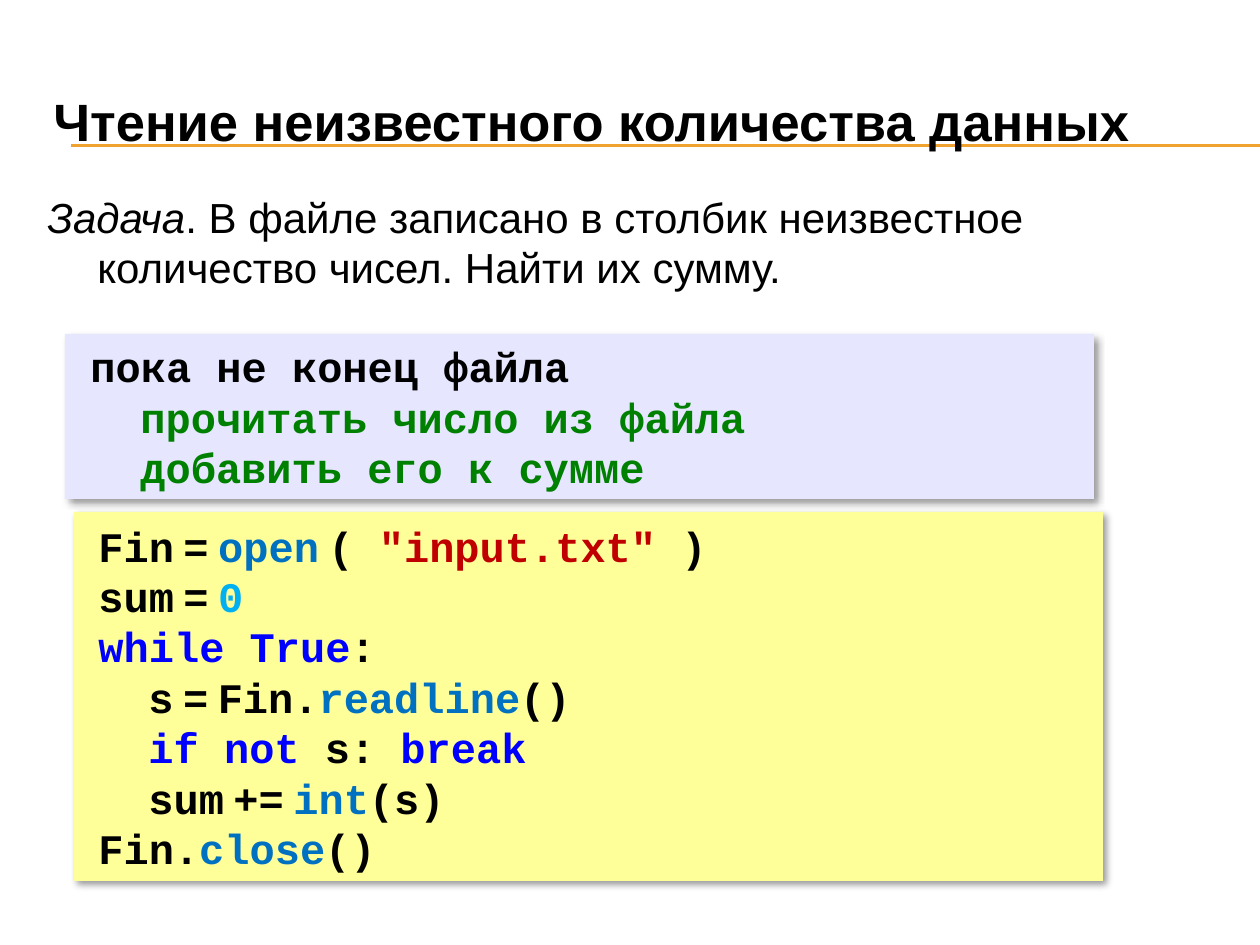
from dataclasses import dataclass

from lxml.etree import SubElement
from pptx import Presentation
from pptx.dml.color import RGBColor
from pptx.enum.shapes import MSO_CONNECTOR as Connector, MSO_SHAPE as Shape
from pptx.enum.text import MSO_ANCHOR as Anchor, PP_ALIGN as Align
from pptx.oxml.ns import qn
from pptx.util import Pt

PX = 914400 // 126


@dataclass(frozen=True)
class Theme:
    ink: str = "000000"
    rule: str = "F0A22E"
    plan: str = "E6E6FF"
    code: str = "FFFF99"
    step: str = "008000"
    call: str = "0070C0"
    string: str = "C00000"
    number: str = "00B0F0"
    keyword: str = "0000FF"
    prose_font: str = "Arial"
    code_font: str = "Courier New"
    title_size: int = 30
    text_size: int = 24
    gap_size: int = 9


def write(paragraph, text, *, font, size, color, bold=False, italic=False):
    run = paragraph.add_run()
    run.text = text
    run.font.name = font
    run.font.size = Pt(size)
    run.font.bold = bold
    run.font.italic = italic
    run.font.color.rgb = RGBColor.from_string(color)


class SlideBuilder:
    def __init__(self, slide, theme):
        self.slide = slide
        self.theme = theme

    def rule(self, left, right, y):
        line = self.slide.shapes.add_connector(
            Connector.STRAIGHT, left * PX, y * PX, right * PX, y * PX)
        line.line.color.rgb = RGBColor.from_string(self.theme.rule)
        line.line.width = Pt(0.75)
        SubElement(line._element.spPr, qn("a:effectLst"))

    def paragraph(self, frame, first, margin=0, indent=0, align=Align.LEFT):
        paragraph = frame.paragraphs[0] if first else frame.add_paragraph()
        paragraph.alignment = align
        properties = paragraph._p.get_or_add_pPr()
        properties.set("marL", str(margin * PX))
        properties.set("indent", str(indent * PX))
        return paragraph

    def prose(self, box, parts, size, anchor=Anchor.TOP, hanging=0, bold=False):
        frame = self.slide.shapes.add_textbox(*(n * PX for n in box)).text_frame
        frame.word_wrap = True
        frame.vertical_anchor = anchor
        paragraph = self.paragraph(frame, True, hanging, -hanging)
        for text, italic in parts:
            write(paragraph, text, font=self.theme.prose_font, size=size,
                  color=self.theme.ink, bold=bold, italic=italic)

    def listing(self, box, fill, lines, margin, indent, align=Align.LEFT):
        panel = self.slide.shapes.add_shape(Shape.RECTANGLE, *(n * PX for n in box))
        panel.fill.solid()
        panel.fill.fore_color.rgb = RGBColor.from_string(fill)
        panel.line.fill.background()
        self.shadow(panel)
        frame = panel.text_frame
        frame.word_wrap = True
        frame.vertical_anchor = Anchor.MIDDLE
        for number, (level, parts) in enumerate(lines):
            paragraph = self.paragraph(
                frame, number == 0, margin + level * 50, indent, align)
            for text, role in parts:
                gap = role == "gap"
                write(paragraph, text, font=self.theme.code_font, bold=True,
                      size=self.theme.gap_size if gap else self.theme.text_size,
                      color=self.theme.ink if gap else getattr(self.theme, role))

    def shadow(self, panel):
        panel.shadow.inherit = False
        effects = panel._element.spPr.find(qn("a:effectLst"))
        outer = SubElement(effects, qn("a:outerShdw"), blurRad=str(Pt(4)),
                           dist=str(Pt(3)), dir="2700000", algn="tl",
                           rotWithShape="0")
        color = SubElement(outer, qn("a:srgbClr"), val=self.theme.ink)
        SubElement(color, qn("a:alpha"), val="40000")


def main():
    theme = Theme()
    deck = Presentation()
    deck.slide_width, deck.slide_height = 1260 * PX, 945 * PX
    page = SlideBuilder(deck.slides.add_slide(deck.slide_layouts[6]), theme)

    for y in (145, 146):
        page.rule(71, 1260, y)
    page.prose((41, 63, 1197, 116),
               [("Чтение неизвестного количества данных", False)],
               theme.title_size, anchor=Anchor.MIDDLE, bold=True)
    page.prose((35, 185, 1201, 115),
               [("Задача", True),
                (". В файле записано в столбик неизвестное количество чисел. "
                 "Найти их сумму.", False)],
               theme.text_size, hanging=50)

    plan = [
        (0, [("пока не конец файла", "ink")]),
        (1, [("прочитать число из файла", "step")]),
        (1, [("добавить его к сумме", "step")]),
    ]
    page.listing((65, 334, 1029, 165), theme.plan, plan, margin=0, indent=13)

    gap = (" ", "gap")
    assign = [gap, ("=", "ink"), gap]
    program = [
        (0, [("Fin", "ink"), *assign, ("open", "call"), gap, ("( ", "ink"),
             ('"input.txt" ', "string"), (")", "ink")]),
        (0, [("sum", "ink"), *assign, ("0", "number")]),
        (0, [("while True", "keyword"), (":", "ink")]),
        (1, [("s", "ink"), *assign, ("Fin.", "ink"), ("readline", "call"),
             ("()", "ink")]),
        (1, [("if not ", "keyword"), ("s:", "ink"), (" break", "keyword")]),
        (1, [("sum", "ink"), gap, ("+=", "ink"), gap, ("int", "call"),
             ("(s)", "ink")]),
        (0, [("Fin.", "ink"), ("close", "call"), ("()", "ink")]),
    ]
    page.listing((74, 512, 1029, 369), theme.code, program,
                 margin=25, indent=-13, align=Align.JUSTIFY)

    deck.save("out.pptx")


if __name__ == "__main__":
    main()
